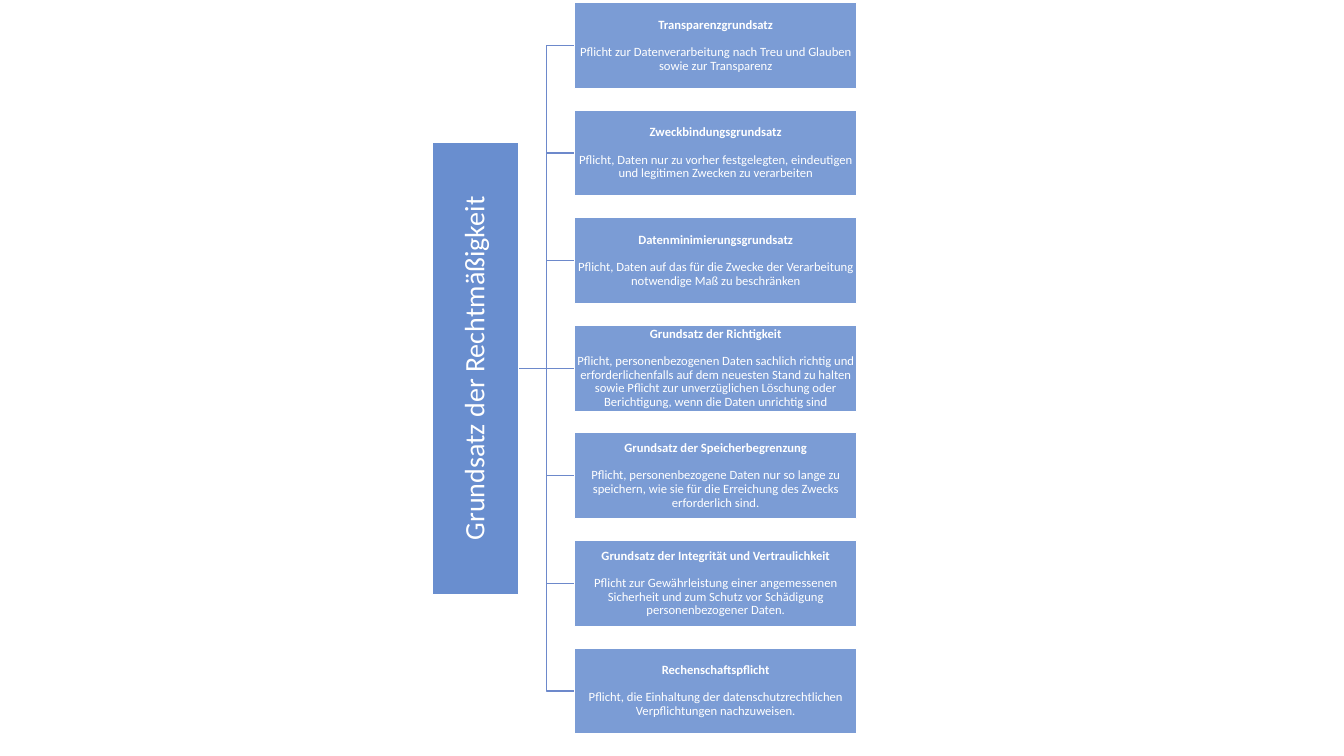
from dataclasses import dataclass

from lxml import etree
from pptx import Presentation
from pptx import util as u
from pptx.dml.color import RGBColor
from pptx.enum import shapes, text
from pptx.oxml.ns import qn


@dataclass
class Theme:
    font: str = "Calibri"
    blue: str = "4472C4"
    line: str = "6D89CB"
    white: str = "FFFFFF"
    root: float = 20
    item: float = 9
    gap: float = 9.9


class Chart:
    def __init__(self, slide, theme):
        self.slide = slide
        self.theme = theme

    def link(self, x1, y1, x2, y2):
        kind = shapes.MSO_CONNECTOR.STRAIGHT if y1 == y2 else shapes.MSO_CONNECTOR.ELBOW
        line = self.slide.shapes.add_connector(kind, *map(u.Cm, (x1, y1, x2, y2)))
        line.line.color.rgb = RGBColor.from_string(self.theme.line)
        line.line.width = u.Pt(1)
        etree.SubElement(line.element.spPr, qn("a:effectLst"))

    def box(self, mid_x, mid_y, width, height, lines, size, alpha, turn=0):
        theme = self.theme
        white = RGBColor.from_string(theme.white)
        place = (mid_x - width / 2, mid_y - height / 2, width, height)
        box = self.slide.shapes.add_shape(shapes.MSO_SHAPE.RECTANGLE, *map(u.Cm, place))
        box.rotation = turn
        box.shadow.inherit = False
        box.fill.solid()
        box.fill.fore_color.rgb = RGBColor.from_string(theme.blue)
        tint = box.element.xpath("./p:spPr/a:solidFill/a:srgbClr")[0]
        etree.SubElement(tint, qn("a:alpha"), val=str(alpha * 1000))
        box.line.color.rgb = white
        box.line.width = u.Pt(1)

        frame = box.text_frame
        frame.word_wrap = True
        frame.vertical_anchor = text.MSO_ANCHOR.MIDDLE
        frame.margin_left = frame.margin_right = u.Cm(0.02)
        frame.margin_top = frame.margin_bottom = u.Cm(0.02)
        frame.text = "\n".join(lines)
        for para in frame.paragraphs:
            para.alignment = text.PP_ALIGN.CENTER
            para.line_spacing = 0.9
            para.font.name = theme.font
            for run in para.runs:
                run.font.name = theme.font
                run.font.size = u.Pt(size)
                run.font.color.rgb = white
        if len(lines) > 1:
            head = frame.paragraphs[0]
            head.space_after = u.Pt(theme.gap)
            head.runs[0].font.bold = True


ROOT = "Grundsatz der Rechtmäßigkeit"
ITEMS = [
    ("Transparenzgrundsatz",
     "Pflicht zur Datenverarbeitung nach Treu und Glauben sowie zur Transparenz"),
    ("Zweckbindungsgrundsatz",
     "Pflicht, Daten nur zu vorher festgelegten, eindeutigen und legitimen Zwecken "
     "zu verarbeiten"),
    ("Datenminimierungsgrundsatz",
     "Pflicht, Daten auf das für die Zwecke der Verarbeitung notwendige Maß "
     "zu beschränken"),
    ("Grundsatz der Richtigkeit",
     "Pflicht, personenbezogenen Daten sachlich richtig und erforderlichenfalls auf dem "
     "neuesten Stand zu halten sowie Pflicht zur unverzüglichen Löschung oder "
     "Berichtigung, wenn die Daten unrichtig sind"),
    ("Grundsatz der Speicherbegrenzung",
     "Pflicht, personenbezogene Daten nur so lange zu speichern, wie sie für die "
     "Erreichung des Zwecks erforderlich sind."),
    ("Grundsatz der Integrität und Vertraulichkeit",
     "Pflicht zur Gewährleistung einer angemessenen Sicherheit und zum Schutz vor "
     "Schädigung personenbezogener Daten."),
    ("Rechenschaftspflicht",
     "Pflicht, die Einhaltung der datenschutzrechtlichen Verpflichtungen nachzuweisen."),
]


def main():
    deck = Presentation()
    deck.slide_width, deck.slide_height = u.Cm(33.87), u.Cm(19.05)
    theme = Theme()
    chart = Chart(deck.slides.add_slide(deck.slide_layouts[6]), theme)

    mid, pitch, height = 9.28, 2.71, 2.17
    root_x, root_len = 11.98, 11.4
    left, width = 14.48, 7.11
    rows = [mid + (i - len(ITEMS) // 2) * pitch for i in range(len(ITEMS))]

    for y in reversed(rows):
        chart.link(root_x + height / 2, mid, left, y)
    chart.box(root_x, mid, root_len, height, [ROOT], theme.root, 80, 270)
    for y, lines in zip(rows, ITEMS):
        chart.box(left + width / 2, y, width, height, lines, theme.item, 70)

    deck.save("out.pptx")


if __name__ == "__main__":
    main()
